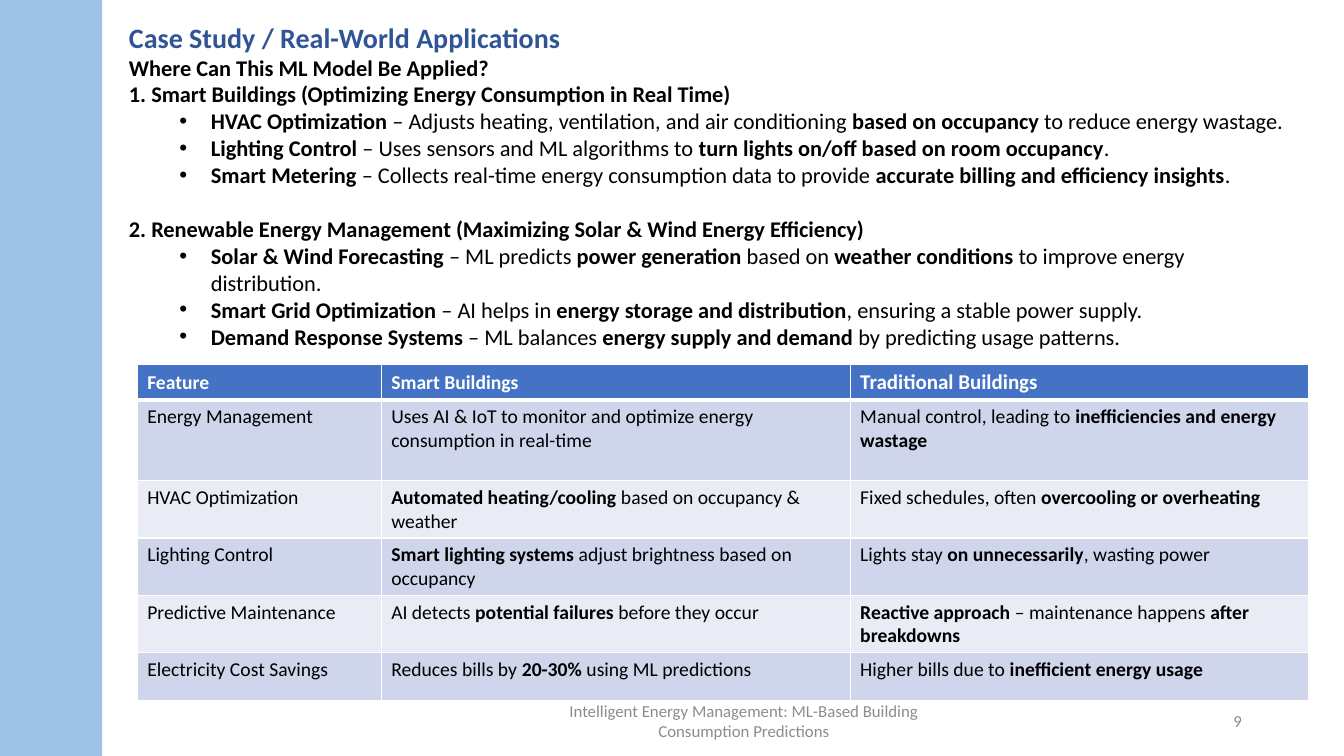
from lxml import etree
from pptx import Presentation
from pptx.dml.color import RGBColor
from pptx.enum import shapes, text
from pptx.oxml import ns
from pptx.util import Pt

FONT = "Calibri"
BLACK, WHITE, GREY = "000000", "FFFFFF", "8C8C8C"
TITLE_BLUE, SIDE_BLUE, HEADER_BLUE = "2F5597", "9DC3E6", "4472C4"
BANDS = ["CFD5EA", "E9EBF5"]

# Text between double asterisks is bold.
TITLE = "Case Study / Real-World Applications"
QUESTION = "Where Can This ML Model Be Applied?"
SECTIONS = [
    ("1. Smart Buildings (Optimizing Energy Consumption in Real Time)", [
        "**HVAC Optimization** – Adjusts heating, ventilation, and air conditioning "
        "**based on occupancy** to reduce energy wastage.",
        "**Lighting Control** – Uses sensors and ML algorithms to "
        "**turn lights on/off based on room occupancy**.",
        "**Smart Metering** – Collects real-time energy consumption data to provide "
        "**accurate billing and efficiency insights**.",
    ]),
    ("2. Renewable Energy Management (Maximizing Solar & Wind Energy Efficiency)", [
        "**Solar & Wind Forecasting** – ML predicts **power generation** based on "
        "**weather conditions** to improve energy distribution.",
        "**Smart Grid Optimization** – AI helps in **energy storage and distribution**, "
        "ensuring a stable power supply.",
        "**Demand Response Systems** – ML balances **energy supply and demand** "
        "by predicting usage patterns.",
    ]),
]
TABLE = [
    ("**Feature**", "**Smart Buildings**", "**Traditional Buildings**"),
    ("Energy Management",
     "Uses AI & IoT to monitor and optimize energy consumption in real-time",
     "Manual control, leading to **inefficiencies and energy wastage**"),
    ("HVAC Optimization",
     "**Automated heating/cooling** based on occupancy & weather",
     "Fixed schedules, often **overcooling or overheating**"),
    ("Lighting Control",
     "**Smart lighting systems** adjust brightness based on occupancy",
     "Lights stay **on unnecessarily**, wasting power"),
    ("Predictive Maintenance",
     "AI detects **potential failures** before they occur",
     "**Reactive approach** – maintenance happens **after breakdowns**"),
    ("Electricity Cost Savings",
     "Reduces bills by **20-30%** using ML predictions",
     "Higher bills due to **inefficient energy usage**"),
]
COLUMN_WIDTHS = [174.3, 335, 327.3]
ROW_HEIGHTS = [25, 57.5, 41, 41, 41, 34.5]
FOOTER = "Intelligent Energy Management: ML-Based Building Consumption Predictions"
PAGE_NUMBER = "9"


def rgb(value):
    return RGBColor.from_string(value)


def write(paragraph, marked, size, colour):
    """Fill a paragraph, making the parts between double asterisks bold."""
    paragraph.font.name = FONT
    paragraph.font.size = Pt(size)
    paragraph.font.color.rgb = rgb(colour)
    for index, part in enumerate(marked.split("**")):
        if part:
            run = paragraph.add_run()
            run.text = part
            run.font.bold = index % 2 == 1


def add_text_box(left, top, width, height, anchor):
    box = slide.shapes.add_textbox(Pt(left), Pt(top), Pt(width), Pt(height))
    box.text_frame.word_wrap = True
    box.text_frame.vertical_anchor = anchor
    return box.text_frame


def add_bullet(paragraph):
    properties = paragraph._p.get_or_add_pPr()
    properties.set("marL", str(Pt(58.5)))
    properties.set("indent", str(Pt(-22.5)))
    etree.SubElement(properties, ns.qn("a:buFont"), typeface="Arial")
    etree.SubElement(properties, ns.qn("a:buChar"), char="•")


def add_borders(cell, widths):
    """Draw white borders; widths are left, right, top, bottom."""
    properties = cell._tc.get_or_add_tcPr()
    for index, (side, width) in enumerate(zip("LRTB", widths)):
        line = etree.Element(ns.qn(f"a:ln{side}"), w=str(Pt(width)))
        fill = etree.SubElement(line, ns.qn("a:solidFill"))
        etree.SubElement(fill, ns.qn("a:srgbClr"), val=WHITE)
        properties.insert(index, line)


presentation = Presentation()
presentation.slide_width, presentation.slide_height = Pt(960), Pt(540)
slide = presentation.slides.add_slide(presentation.slide_layouts[6])

# Title and bullet sections
body = add_text_box(85, 10.8, 850.3, 266.4, text.MSO_ANCHOR.TOP)
write(body.paragraphs[0], f"**{TITLE}**", 20, TITLE_BLUE)
write(body.add_paragraph(), f"**{QUESTION}**", 16, BLACK)
for number, (heading, bullets) in enumerate(SECTIONS):
    paragraph = body.add_paragraph()
    paragraph.space_before = Pt(19.5 * number)
    write(paragraph, f"**{heading}**", 16, BLACK)
    for bullet in bullets:
        paragraph = body.add_paragraph()
        add_bullet(paragraph)
        write(paragraph, bullet, 16, BLACK)

# Footer and page number
for content, left, width, alignment in [
    (FOOTER, 369.4, 324, text.PP_ALIGN.CENTER),
    (PAGE_NUMBER, 678.2, 216, text.PP_ALIGN.RIGHT),
]:
    paragraph = add_text_box(left, 500.4, width, 28.8, text.MSO_ANCHOR.MIDDLE).paragraphs[0]
    paragraph.alignment = alignment
    write(paragraph, content, 12, GREY)

# Side band
band = slide.shapes.add_shape(shapes.MSO_SHAPE.RECTANGLE, 0, 0, Pt(73), Pt(540))
band.shadow.inherit = False
band.fill.solid()
band.fill.fore_color.rgb = rgb(SIDE_BLUE)
band.line.fill.background()

# Comparison table
table = slide.shapes.add_table(
    len(TABLE), len(COLUMN_WIDTHS), Pt(98), Pt(260.6),
    Pt(sum(COLUMN_WIDTHS)), Pt(sum(ROW_HEIGHTS))).table
for column, width in zip(table.columns, COLUMN_WIDTHS):
    column.width = Pt(width)
for row_index, (row, height) in enumerate(zip(TABLE, ROW_HEIGHTS)):
    table.rows[row_index].height = Pt(height)
    is_header = row_index == 0
    for column_index, content in enumerate(row):
        cell = table.cell(row_index, column_index)
        cell.fill.solid()
        cell.fill.fore_color.rgb = rgb(HEADER_BLUE if is_header else BANDS[(row_index - 1) % 2])
        add_borders(cell, (1, 1, 3 if row_index == 1 else 1, 3 if is_header else 1))
        if is_header:
            cell.vertical_anchor = text.MSO_ANCHOR.MIDDLE
        size = 15 if is_header and column_index == 2 else 14
        write(cell.text_frame.paragraphs[0], content, size, WHITE if is_header else BLACK)

presentation.save("out.pptx")
